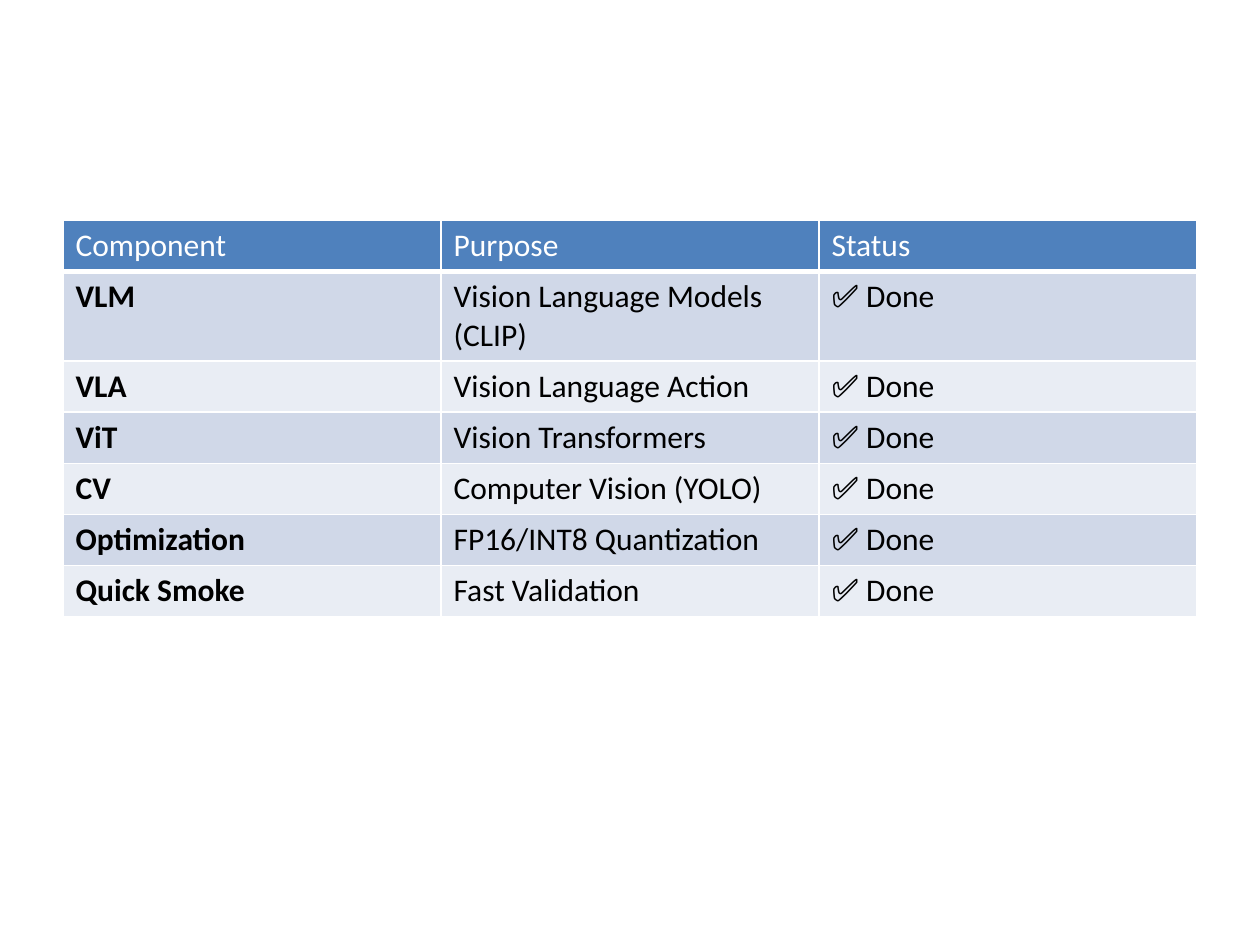
from lxml import etree
from pptx import Presentation
from pptx.dml.color import RGBColor
from pptx.oxml import ns
from pptx.util import Inches, Pt

HEADER = ("Component", "Purpose", "Status")
COMPONENTS = [
    ("VLM", "Vision Language Models (CLIP)"),
    ("VLA", "Vision Language Action"),
    ("ViT", "Vision Transformers"),
    ("CV", "Computer Vision (YOLO)"),
    ("Optimization", "FP16/INT8 Quantization"),
    ("Quick Smoke", "Fast Validation"),
]
STATUS = "✅ Done"

WHITE = RGBColor(0xFF, 0xFF, 0xFF)
BLACK = RGBColor(0x00, 0x00, 0x00)
HEADER_BLUE = RGBColor(0x4F, 0x81, 0xBD)
BANDS = (RGBColor(0xD0, 0xD8, 0xE8), RGBColor(0xE9, 0xED, 0xF4))


def add_borders(cell, bottom_width):
    """Draw white lines on all four sides, 1 pt except at the bottom."""
    properties = cell._tc.get_or_add_tcPr()
    for side, width in (("L", 1), ("R", 1), ("T", 1), ("B", bottom_width)):
        line = etree.SubElement(properties, ns.qn(f"a:ln{side}"), w=str(Pt(width)))
        fill = etree.SubElement(line, ns.qn("a:solidFill"))
        etree.SubElement(fill, ns.qn("a:srgbClr"), val=str(WHITE))


def format_cell(cell, words, fill, color, bold, bottom_width):
    add_borders(cell, bottom_width)
    cell.fill.solid()
    cell.fill.fore_color.rgb = fill
    run = cell.text_frame.paragraphs[0].add_run()
    run.text = words
    run.font.name = "Calibri"
    run.font.size = Pt(18)
    run.font.bold = bold
    run.font.color.rgb = color


def main():
    presentation = Presentation()
    presentation.slide_width = Inches(10)
    presentation.slide_height = Inches(7.5)
    slide = presentation.slides.add_slide(presentation.slide_layouts[6])

    rows = [HEADER] + [(*component, STATUS) for component in COMPONENTS]
    frame_height = Inches(4.94)
    frame = slide.shapes.add_table(
        len(rows), len(HEADER), Inches(0.5), Inches(1.75), Inches(9), frame_height
    )
    table = frame.table
    for row in table.rows:
        row.height = Inches(0)  # each row grows to fit its text
    frame.height = frame_height

    for i, row in enumerate(rows):
        is_header = i == 0
        fill = HEADER_BLUE if is_header else BANDS[(i - 1) % 2]
        color = WHITE if is_header else BLACK
        for j, words in enumerate(row):
            bold = not is_header and j == 0
            format_cell(table.cell(i, j), words, fill, color, bold, 3 if is_header else 1)

    presentation.save("out.pptx")


if __name__ == "__main__":
    main()
